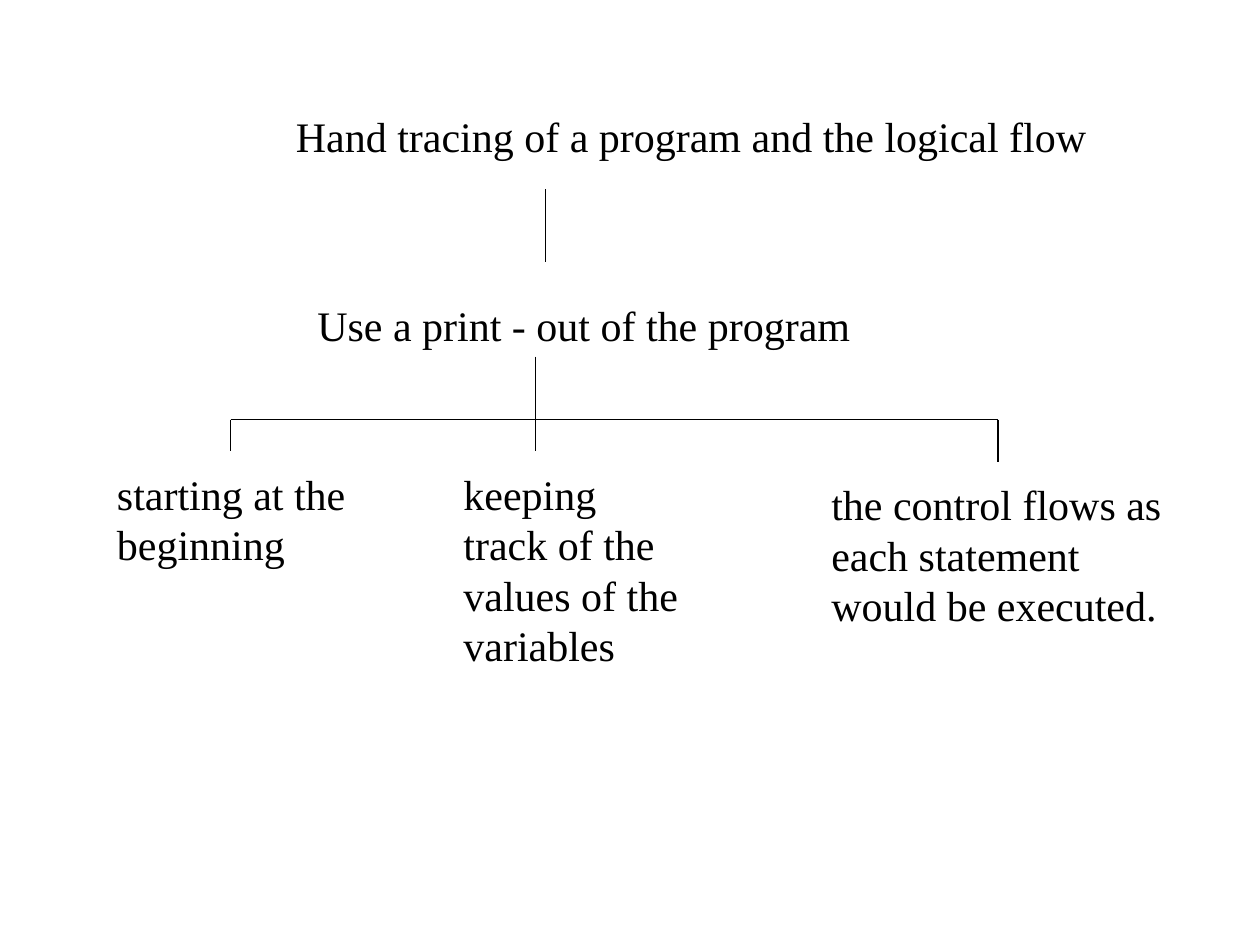
from lxml import etree
from pptx import Presentation
from pptx.dml.color import RGBColor
from pptx.enum import shapes, text
from pptx.oxml import ns
from pptx.util import Inches, Pt

BLACK = RGBColor(0, 0, 0)
FONT = {"name": "Times New Roman", "size": Pt(24), "bold": False}
FRAME = {"word_wrap": True, "auto_size": text.MSO_AUTO_SIZE.SHAPE_TO_FIT_TEXT}

# Offsets from the left and top of the tree: text, left, top, width, height
LEAVES = [
    ("starting at the beginning", 0, 0.84, 2.17, 0.9),
    ("keeping track of the values of the variables", 2.75, 0.84, 1.95, 1.7),
    ("the control flows as each statement would be executed.",
     5.67, 0.92, 3, 1.3),
]
# Drop from the bar to each leaf: offset across, length
DROPS = [(1, 0.25), (3.42, 0.25), (7.09, 0.34)]


def add_label(slide, words, left, top, width, height):
    box = slide.shapes.add_textbox(*map(Inches, (left, top, width, height)))
    frame = box.text_frame
    for key, value in FRAME.items():
        setattr(frame, key, value)
    run = frame.paragraphs[0].add_run()
    run.text = words
    for key, value in FONT.items():
        setattr(run.font, key, value)
    run.font.color.rgb = BLACK


def add_line(slide, x1, y1, x2, y2):
    line = slide.shapes.add_connector(
        shapes.MSO_CONNECTOR.STRAIGHT, *map(Inches, (x1, y1, x2, y2)))
    line.line.color.rgb = BLACK
    line.line.width = Pt(0.75)
    etree.SubElement(line._element.spPr, ns.qn("a:effectLst"))


def add_head(slide, left, top):
    """Place the topic, the step below it and the line between them."""
    add_label(slide, "Hand tracing of a program and the logical flow",
              left, top, 6.83, 0.5)
    add_line(slide, left + 2.08, top + 0.67, left + 2.08, top + 1.25)
    add_label(slide, "Use a print - out of the program",
              left + 0.17, top + 1.5, 4.67, 0.5)


def add_tree(slide, left, top):
    """Place the stem, the bar, and a drop and a label for each leaf."""
    bar = top + 0.5
    xs = [left + across for across, _ in DROPS]
    add_line(slide, xs[1], top, xs[1], bar)
    add_line(slide, xs[0], bar, xs[-1], bar)
    for x, (_, drop) in zip(xs, DROPS):
        add_line(slide, x, bar, x, bar + drop)
    for words, across, down, width, height in LEAVES:
        add_label(slide, words, left + across, top + down, width, height)


def main():
    deck = Presentation()
    deck.slide_width, deck.slide_height = Inches(10), Inches(7.5)
    slide = deck.slides.add_slide(deck.slide_layouts[6])
    add_head(slide, 2.25, 0.83)
    add_tree(slide, 0.83, 2.83)
    deck.save("out.pptx")


if __name__ == "__main__":
    main()
